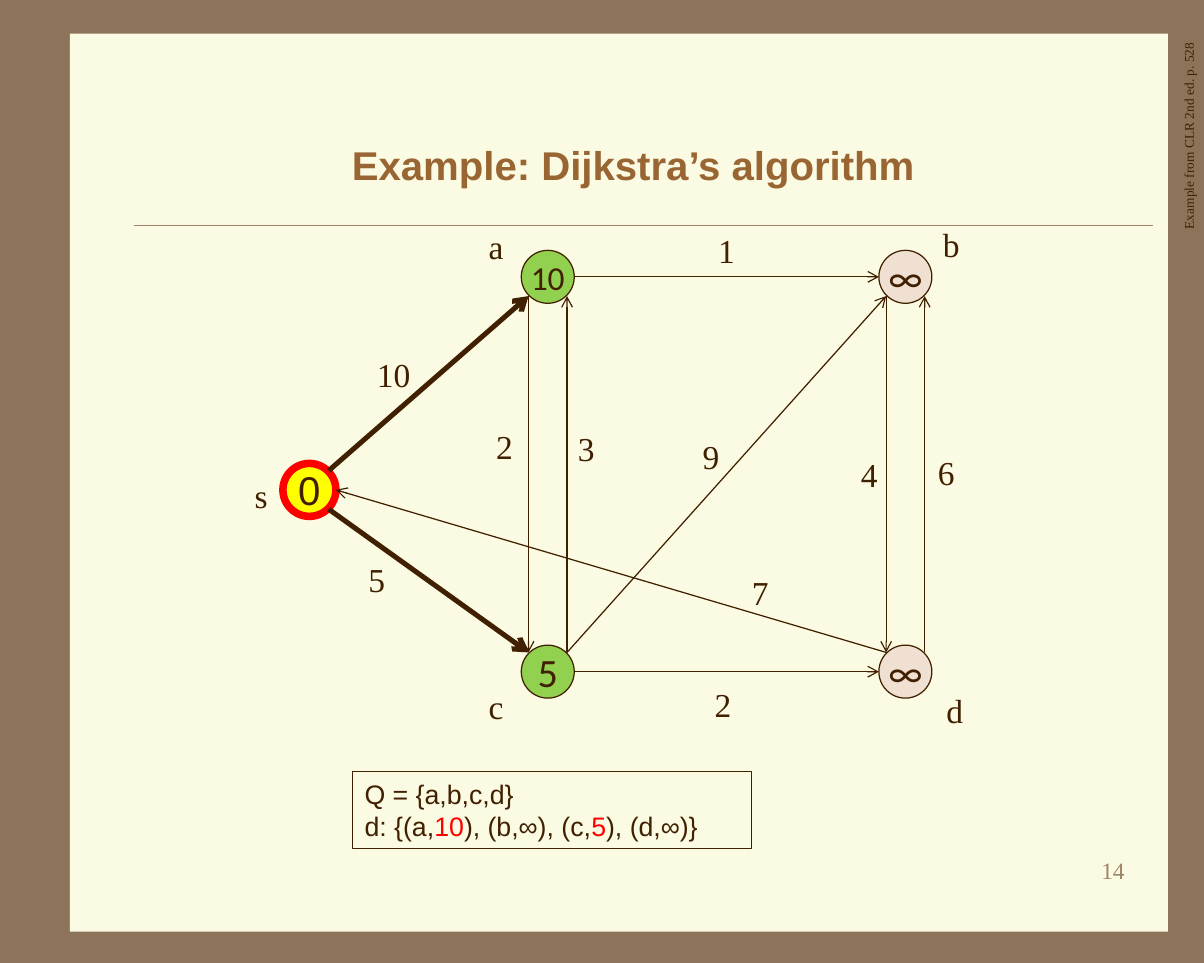
from pptx import Presentation
from pptx.dml.color import RGBColor
from pptx.enum.shapes import MSO_CONNECTOR, MSO_SHAPE
from pptx.enum.text import MSO_ANCHOR, PP_ALIGN
from pptx.oxml.ns import qn
from pptx.util import Inches, Pt
from lxml.etree import SubElement

COLORS = {
    "frame": "8C735A", "panel": "FBFAE2", "rule": "A08366", "title": "996633",
    "ink": "402000", "red": "FF0000", "source": "FFFF00",
    "reached": "92D050", "unreached": "F0E0D1",
}
SERIF, SANS, NODE_FONT = "Times New Roman", "Arial", "Calibri"
RADIUS = 0.22
DIAGONAL = 0.16
DIRECTIONS = {
    "E": (RADIUS, 0), "W": (-RADIUS, 0),
    "NE": (DIAGONAL, -DIAGONAL), "NW": (-DIAGONAL, -DIAGONAL),
    "SE": (DIAGONAL, DIAGONAL), "SW": (-DIAGONAL, DIAGONAL),
}
# name: (centre, distance, fill, font, size, offset of the name)
NODES = {
    "s": ((0.57, 2.27), "0", "source", SANS, 24, (-0.4, 0.05)),
    "a": ((2.55, 0.5), "10", "reached", NODE_FONT, 20, (-0.43, -0.25)),
    "c": ((2.55, 3.78), "5", "reached", NODE_FONT, 24, (-0.43, 0.29)),
    "b": ((5.52, 0.5), "∞", "unreached", NODE_FONT, 24, (0.38, -0.27)),
    "d": ((5.52, 3.78), "∞", "unreached", NODE_FONT, 24, (0.41, 0.32)),
}
# from, side, to, side, weight, offset of the weight from the midpoint
EDGES = [
    ("s", "NE", "a", "SW", "10", (-0.29, -0.07)),
    ("s", "SE", "c", "NW", "5", (-0.43, -0.01)),
    ("a", "E", "b", "W", "1", (0, -0.22)),
    ("c", "E", "d", "W", "2", (-0.03, 0.27)),
    ("c", "NE", "b", "SW", "9", (-0.13, -0.15)),
    ("d", "NW", "s", "E", "7", (1.24, 0.18)),
    ("c", "NE", "a", "SE", "3", (0.16, -0.21)),
    ("a", "SW", "c", "NW", "2", (-0.2, -0.23)),
    ("d", "NE", "b", "SE", "6", (0.18, -0.01)),
    ("b", "SW", "d", "NW", "4", (-0.14, 0)),
]


def rgb(name):
    return RGBColor.from_string(COLORS[name])


def format_runs(p, font, size, color="ink", bold=False):
    for r in p.runs:
        r.font.name, r.font.size, r.font.bold = font, Pt(size), bold
        r.font.color.rgb = rgb(color)


def add_box(slide, box, preset, fill=None, line=None, width=0.75):
    sp = slide.shapes.add_shape(preset, *map(Inches, box))
    sp.shadow.inherit = False
    if fill:
        sp.fill.solid()
        sp.fill.fore_color.rgb = rgb(fill)
    else:
        sp.fill.background()
    if line:
        sp.line.color.rgb = rgb(line)
        sp.line.width = Pt(width)
    else:
        sp.line.fill.background()
    return sp


def add_line(slide, start, end, color, width, arrow=False):
    line = slide.shapes.add_connector(
        MSO_CONNECTOR.STRAIGHT, *map(Inches, (*start, *end)))
    line.line.color.rgb = rgb(color)
    line.line.width = Pt(width)
    if arrow:
        SubElement(line.line._get_or_add_ln(), qn("a:tailEnd"), type="arrow")
    SubElement(line.element.spPr, qn("a:effectLst"))


def add_text(slide, box, text, size, color="ink", align=PP_ALIGN.RIGHT, wrap=True):
    sp = slide.shapes.add_textbox(*map(Inches, box))
    tf = sp.text_frame
    tf.word_wrap = wrap
    p = tf.paragraphs[0]
    p.text, p.alignment = text, align
    format_runs(p, SERIF, size, color)
    return sp


def add_label(slide, center, text):
    x, y = center
    add_text(slide, (x - 0.24, y - 0.22, 0.48, 0.44), text, 20,
             align=PP_ALIGN.CENTER, wrap=False)


def shift(point, offset):
    return point[0] + offset[0], point[1] + offset[1]


def add_backdrop(slide, box):
    slide.background.fill.solid()
    slide.background.fill.fore_color.rgb = rgb("frame")
    panel = add_box(slide, box, MSO_SHAPE.RECTANGLE, "panel")
    # The panel goes behind the title placeholder
    panel.element.getparent().insert(2, panel.element)
    left, top, width, height = box
    y = top + 1.59
    add_line(slide, (left + 0.53, y), (left + width - 0.12, y), "rule", 0.25)


def add_title(slide, box, text):
    title = slide.shapes.title
    title.left, title.top, title.width, title.height = map(Inches, box)
    tf = title.text_frame
    tf.text = text
    tf.vertical_anchor = MSO_ANCHOR.MIDDLE
    tf.paragraphs[0].alignment = PP_ALIGN.CENTER
    format_runs(tf.paragraphs[0], SANS, 24, "title", True)


def add_node(slide, center, distance, fill, font, size):
    x, y = center
    is_source = fill == "source"
    sp = add_box(slide, (x - RADIUS, y - RADIUS, 2 * RADIUS, 2 * RADIUS),
                 MSO_SHAPE.OVAL, fill, "red" if is_source else "ink",
                 4.5 if is_source else 0.75)
    tf = sp.text_frame
    tf.text = distance
    tf.word_wrap = False
    tf.vertical_anchor = MSO_ANCHOR.MIDDLE
    tf.margin_left = tf.margin_right = tf.margin_top = tf.margin_bottom = 0
    tf.paragraphs[0].alignment = PP_ALIGN.CENTER
    format_runs(tf.paragraphs[0], font, size)


def add_graph(slide, origin):
    centers = {name: shift(origin, node[0]) for name, node in NODES.items()}
    for name, (_, distance, fill, font, size, offset) in NODES.items():
        add_node(slide, centers[name], distance, fill, font, size)
        add_label(slide, shift(centers[name], offset), name)
    for tail, tail_side, head, head_side, weight, offset in EDGES:
        start = shift(centers[tail], DIRECTIONS[tail_side])
        end = shift(centers[head], DIRECTIONS[head_side])
        add_line(slide, start, end, "ink", 3 if tail == "s" else 0.75, arrow=True)
        middle = (start[0] + end[0]) / 2, (start[1] + end[1]) / 2
        add_label(slide, shift(middle, offset), weight)


def add_state(slide, box):
    """Add the queue and the current distances, with changed values in red."""
    sp = add_box(slide, box, MSO_SHAPE.RECTANGLE, line="ink")
    tf = sp.text_frame
    tf.word_wrap = True
    tf.vertical_anchor = MSO_ANCHOR.TOP
    tf.text = "Q = {a,b,c,d}"
    distances = tf.add_paragraph()
    for part in ("d: {(a,", "10", "), (b,∞), (c,", "5", "), (d,∞)}"):
        distances.add_run().text = part
    for p in tf.paragraphs:
        p.alignment = PP_ALIGN.LEFT
        format_runs(p, SANS, 16)
    for r in distances.runs[1::2]:
        r.font.color.rgb = rgb("red")


def add_side_credit(slide, box, text):
    sp = add_text(slide, box, text, 8)
    sp.rotation = 270


def main():
    prs = Presentation()
    prs.slide_width, prs.slide_height = Inches(10), Inches(8)
    slide = prs.slides.add_slide(prs.slide_layouts[5])
    add_backdrop(slide, (0.58, 0.28, 9.12, 7.46))
    add_title(slide, (1.01, 0.93, 8.5, 0.87), "Example: Dijkstra’s algorithm")
    add_graph(slide, (2, 1.8))
    add_state(slide, (2.93, 6.41, 3.31, 0.64))
    add_side_credit(slide, (8.36, 1.65, 3.03, 0.24),
                    "Example from CLR 2nd ed. p. 528")
    add_text(slide, (7.36, 7.06, 2.08, 0.5), "14", 14, "rule")
    prs.save("out.pptx")


if __name__ == "__main__":
    main()
